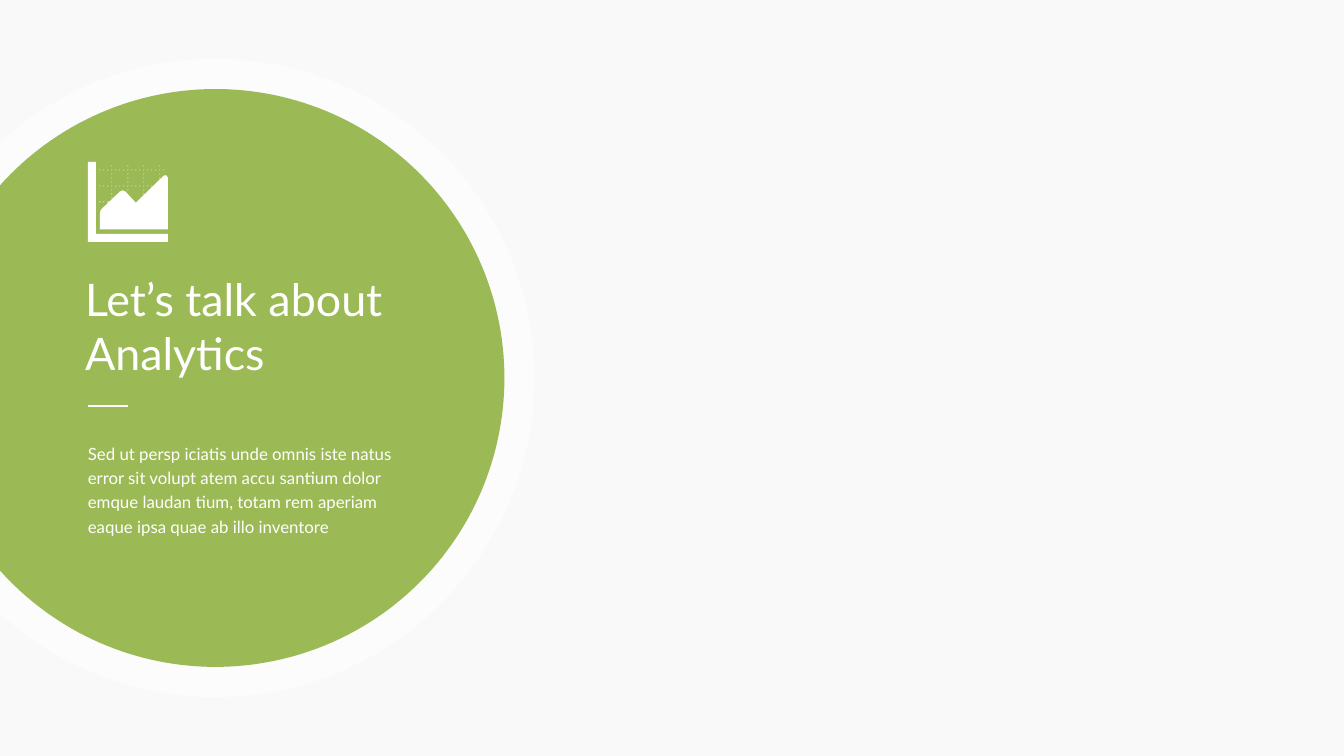
from math import acos, cos, sin

from lxml.etree import SubElement
from pptx import Presentation
from pptx.dml.color import RGBColor
from pptx.enum.shapes import MSO_CONNECTOR as Connector
from pptx.enum.text import MSO_ANCHOR as Anchor, MSO_AUTO_SIZE as AutoSize
from pptx.oxml.ns import qn
from pptx.util import Inches, Pt

WIDTH = Inches(10)
HEIGHT = WIDTH * 9 // 16
CELL = WIDTH // 100

PAPER = RGBColor(0xF9, 0xF9, 0xF9)
WHITE = RGBColor(0xFF, 0xFF, 0xFF)
GREEN = RGBColor(0x9B, 0xB9, 0x55)

TITLE = "Let’s talk about Analytics"
BODY = ("Sed ut persp iciatis unde omnis iste natus error sit volupt atem accu "
        "santium dolor emque laudan tium, totam rem aperiam eaque ipsa quae ab "
        "illo inventore")

# Icon geometry, on a grid of 20 by 20 units
ICON_UNITS = 20
AXES = [(0, 0), (2, 0), (2, 18), (20, 18), (20, 20), (0, 20)]
AREA = [(3, 16.9), (3, 12.6), (3.3, 11.9), (8, 7.4), (8.7, 7.1), (9.4, 7.4),
        (12, 10.2), (18.9, 3.5), (19.4, 3.3), (19.8, 3.5), (20, 4), (20, 16.9)]
DOT = 0.2
DOTS_IN_ROW = {1: 17, 5: 14, 9: 3}
DOTS_IN_COLUMN = {3: 9, 7: 7, 11: 8, 15: 4}


def add_outline(slide, contours, color):
    """Draw closed contours, given in EMU, as one filled shape."""
    builder = slide.shapes.build_freeform(*contours[0][0], scale=1)
    for index, contour in enumerate(contours):
        if index:
            builder.move_to(*contour[0])
        builder.add_line_segments(contour[1:], close=True)
    shape = builder.convert_to_shape()
    shape.shadow.inherit = False
    shape.fill.solid()
    shape.fill.fore_color.rgb = color
    shape.line.fill.background()
    return shape


def add_disc(slide, center_x, center_y, radius, color, steps=180):
    """Draw a disc cut off by the left edge of the slide."""
    cut = acos(-center_x / radius)
    angles = [cut * (2 * step / steps - 1) for step in range(steps + 1)]
    arc = [(center_x + radius * cos(angle), center_y + radius * sin(angle))
           for angle in angles]
    return add_outline(slide, [arc], color)


def add_discs(slide):
    center = 16.03 * CELL, HEIGHT / 2
    halo = add_disc(slide, *center, 23.75 * CELL, WHITE)
    color = halo.fill._xPr.find(qn("a:solidFill"))[0]
    SubElement(color, qn("a:alpha"), val="60000")
    add_disc(slide, *center, 21.5 * CELL, GREEN)


def add_chart_icon(slide, left, top, size):
    unit = size / ICON_UNITS
    dots = {(column, row) for row, count in DOTS_IN_ROW.items()
            for column in range(count)}
    dots |= {(column, row) for column, count in DOTS_IN_COLUMN.items()
             for row in range(count)}
    contours = [AXES, AREA]
    for column, row in sorted(dots):
        x, y = column + 2.9, row + 0.9
        contours.append([(x, y), (x + DOT, y), (x + DOT, y + DOT), (x, y + DOT)])
    add_outline(slide, [[(left + x * unit, top + y * unit) for x, y in contour]
                        for contour in contours], WHITE)


def add_text(slide, left, top, width, height, text, size, auto_size, spacing):
    frame = slide.shapes.add_textbox(left, top, width, height).text_frame
    frame_format = {"margin_left": 0, "margin_top": 0, "margin_right": 0,
                    "margin_bottom": 0, "word_wrap": True,
                    "vertical_anchor": Anchor.TOP, "auto_size": auto_size}
    paragraph = frame.paragraphs[0]
    run = paragraph.add_run()
    run.text = text
    font_format = {"name": "Lato", "size": Pt(size)}
    for target, values in ((frame, frame_format), (paragraph, spacing),
                           (run.font, font_format)):
        for name, value in values.items():
            setattr(target, name, value)
    run.font.color.rgb = WHITE


def add_rule(slide, left, top, length):
    rule = slide.shapes.add_connector(Connector.STRAIGHT, left, top,
                                      left + length, top)
    rule.line.color.rgb = WHITE
    rule.line.width = Pt(1)
    SubElement(rule._element.spPr, qn("a:effectLst"))


def add_message(slide, left, top, width):
    """Stack icon, title, rule and body down from the given corner."""
    def row(count):
        return int(top + count * CELL)

    add_chart_icon(slide, left, top, int(5.95 * CELL))
    add_text(slide, left - CELL // 5, row(8.15), width, int(8.6 * CELL), TITLE,
             24, AutoSize.NONE, {})
    add_rule(slide, left, row(18.15), 3 * CELL)
    add_text(slide, left, row(20.65), width - CELL // 5, int(7.1 * CELL), BODY,
             9, AutoSize.SHAPE_TO_FIT_TEXT,
             {"line_spacing": Pt(13), "space_after": Pt(12)})


def main():
    presentation = Presentation()
    presentation.slide_width = WIDTH
    presentation.slide_height = HEIGHT
    slide = presentation.slides.add_slide(presentation.slide_layouts[6])
    slide.background.fill.solid()
    slide.background.fill.fore_color.rgb = PAPER
    add_discs(slide)
    add_message(slide, int(6.54 * CELL), int(12.05 * CELL), 23 * CELL)
    presentation.save("out.pptx")


if __name__ == "__main__":
    main()
